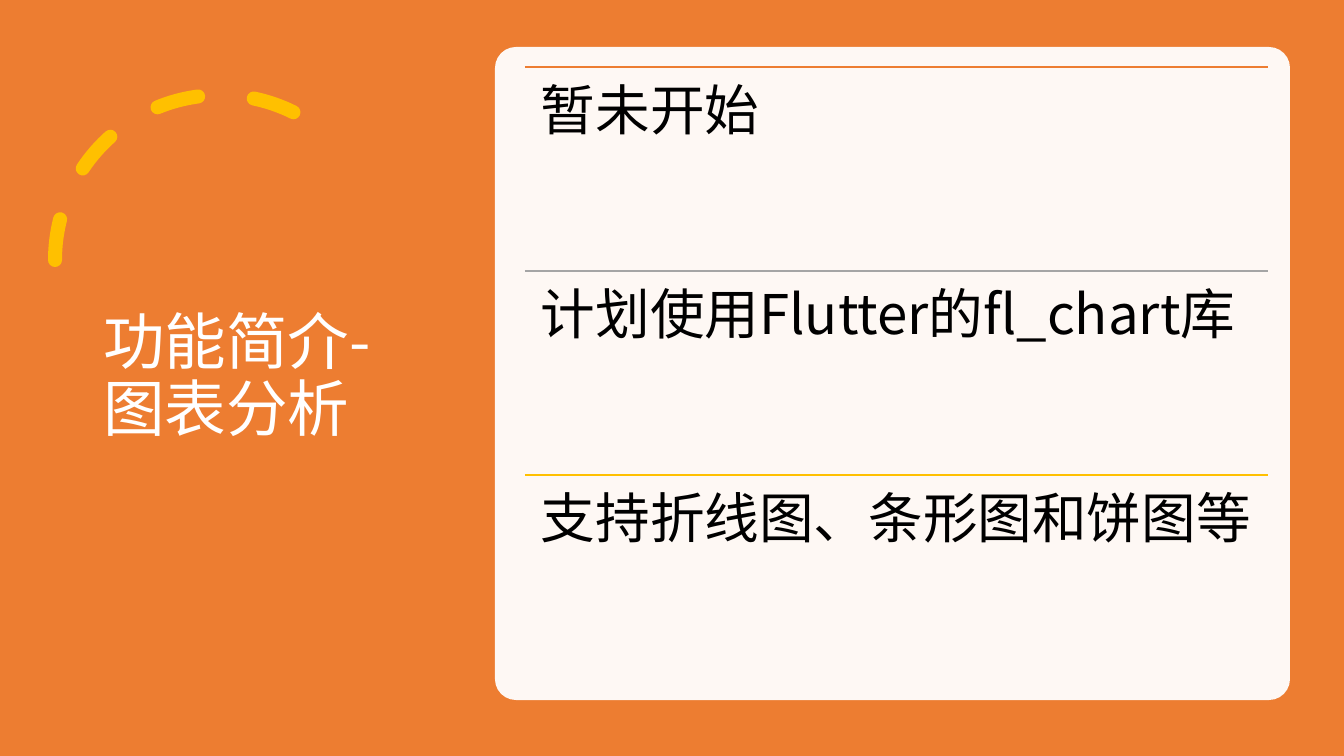
from lxml.etree import SubElement
from pptx import Presentation
from pptx.dml.color import RGBColor
from pptx.enum.dml import MSO_LINE
from pptx.enum.shapes import MSO_CONNECTOR, MSO_SHAPE
from pptx.enum.text import MSO_ANCHOR, MSO_AUTO_SIZE, PP_ALIGN
from pptx.oxml.ns import qn
from pptx.util import Emu, Pt

FONT = "Noto Sans CJK SC"
COLORS = {
    "orange": "ED7D31",
    "gray": "A5A5A5",
    "gold": "FFC000",
    "white": "FFFFFF",
    "black": "000000",
}
ITEMS = [
    ("暂未开始", "orange"),
    ("计划使用Flutter的fl_chart库", "gray"),
    ("支持折线图、条形图和饼图等", "gold"),
]
# List geometry in px
LIST_LEFT, LIST_TOP, LIST_WIDTH, ROW_HEIGHT, INSET = 525, 67, 743, 204, 16


def px(n):
    return Emu(round(n * 914400 / 100.8))


def rgb(name):
    return RGBColor.from_string(COLORS[name])


def add_panel(s, kind, x, y, w, h, color):
    sp = s.shapes.add_shape(kind, px(x), px(y), px(w), px(h))
    sp.shadow.inherit = False
    sp.fill.solid()
    sp.fill.fore_color.rgb = rgb(color)
    sp.line.fill.background()
    return sp


def add_dashed_arc(s, x, y, size):
    sp = s.shapes.add_shape(MSO_SHAPE.ARC, px(x), px(y), px(size), px(size))
    sp.shadow.inherit = False
    sp.adjustments[0] = 146.129
    sp.adjustments[1] = 0
    sp.fill.background()
    sp.line.color.rgb = rgb("gold")
    sp.line.width = Pt(10)
    sp.line.dash_style = MSO_LINE.DASH
    sp.element.spPr.find(qn("a:ln")).set("cap", "rnd")
    sp.element.spPr.find(qn("a:xfrm")).set("flipH", "1")


def set_text(tf, text, size, color):
    tf.word_wrap = True
    tf.auto_size = MSO_AUTO_SIZE.NONE
    p = tf.paragraphs[0]
    p.text = text
    p.alignment = PP_ALIGN.LEFT
    p.line_spacing = 0.9
    p.font.size = Pt(size)
    p.font.color.rgb = rgb(color)
    p.font.name = FONT
    # East Asian typeface for the Chinese characters
    r_pr = p._p.pPr.find(qn("a:defRPr"))
    SubElement(r_pr, qn("a:ea")).set("typeface", FONT)


def place_title(s, text, x, y, w, h):
    title = s.shapes.title
    title.left, title.top, title.width, title.height = map(px, (x, y, w, h))
    title.text_frame.vertical_anchor = MSO_ANCHOR.MIDDLE
    set_text(title.text_frame, text, 44, "white")
    s.shapes.element.append(title.element)  # bring above the background


def add_item(s, y, text, color):
    left, top, width = px(LIST_LEFT), px(y), px(LIST_WIDTH)
    line = s.shapes.add_connector(
        MSO_CONNECTOR.STRAIGHT, left, top, left + width, top)
    line.line.color.rgb = rgb(color)
    line.line.width = Pt(1)
    SubElement(line.element.spPr, qn("a:effectLst"))

    tf = s.shapes.add_textbox(left, top, width, px(ROW_HEIGHT)).text_frame
    tf.margin_left = tf.margin_right = px(INSET)
    tf.margin_top = tf.margin_bottom = px(INSET)
    set_text(tf, text, 39, "black")


def main():
    prs = Presentation()
    prs.slide_width, prs.slide_height = px(1344), px(756)
    s = prs.slides.add_slide(prs.slide_layouts[5])

    # Background, arc and title
    add_panel(s, MSO_SHAPE.RECTANGLE, 0, 0, 1344, 756, "orange")
    add_dashed_arc(s, 55, 95, 330)
    place_title(s, "功能简介-图表分析", 93, 71, 326, 614)

    # Translucent card
    card = add_panel(s, MSO_SHAPE.ROUNDED_RECTANGLE, 495, 47, 795, 653, "white")
    card.adjustments[0] = 0.032
    white = card.element.spPr.find(qn("a:solidFill"))[0]
    SubElement(white, qn("a:alpha")).set("val", "95000")

    # Ruled list
    for i, (text, color) in enumerate(ITEMS):
        add_item(s, LIST_TOP + i * ROW_HEIGHT, text, color)

    prs.save("out.pptx")


if __name__ == "__main__":
    main()
